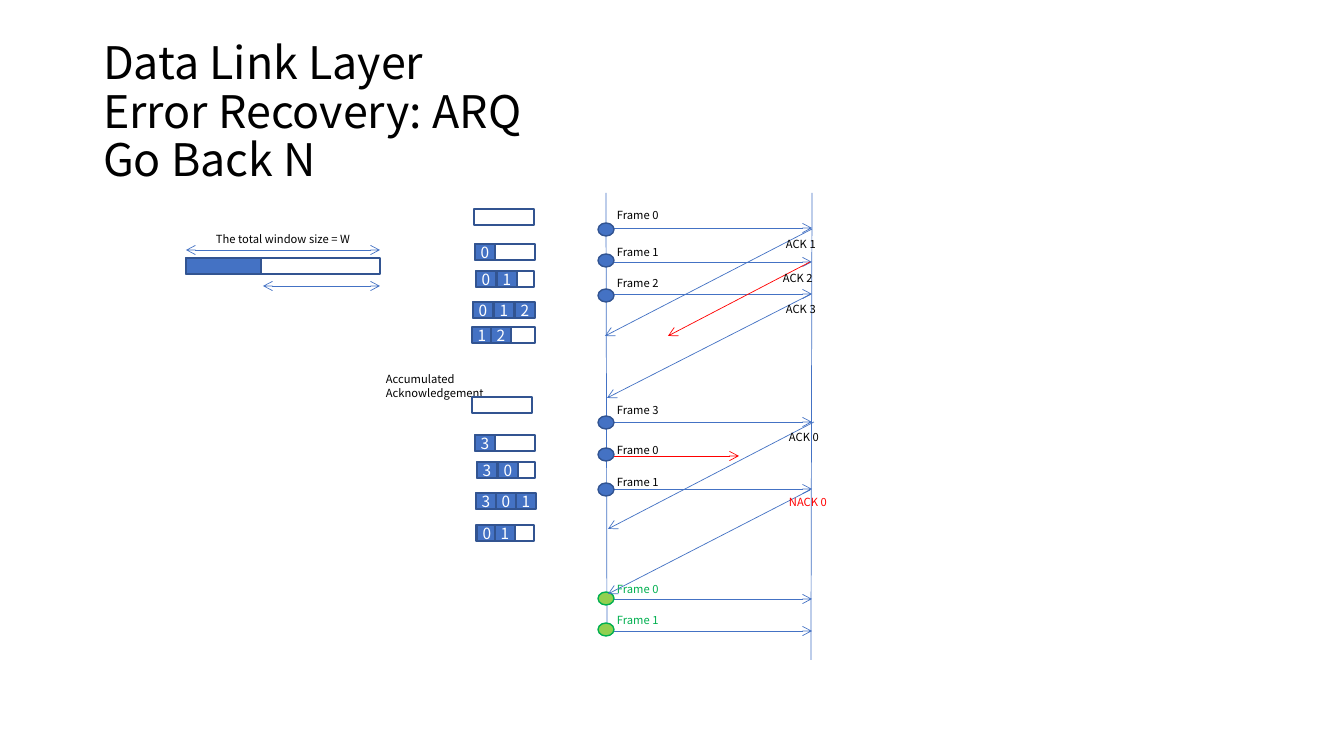
from lxml import etree
from pptx import Presentation
from pptx.dml.color import RGBColor
from pptx.enum.shapes import MSO_CONNECTOR, MSO_SHAPE
from pptx.enum.text import MSO_ANCHOR, PP_ALIGN
from pptx.oxml.ns import qn
from pptx.util import Pt

FONT = "Noto Sans CJK KR"
BLUE, NAVY, RED = "4472C4", "325491", "FF0000"
GREEN, LIME, BLACK, WHITE = "00B050", "92D050", "000000", "FFFFFF"
SENDER, RECEIVER = 607, 812
DOT_W, DOT_H = 16, 13
CELL_W, CELL_H = 20, 16

TITLE = "Data Link Layer\vError Recovery: ARQ\vGo Back N"
# left, top, width, text
NOTES = [
    (206, 227, 160, "The total window size = W"),
    (376, 367, 185, "Accumulated\vAcknowledgement"),
]
# label, label top, arrow y, arrow end, dot top, is resent
FRAMES = [
    ("Frame 0", 203, 228, RECEIVER, 223, False),
    ("Frame 1", 240, 262, RECEIVER, 254, False),
    ("Frame 2", 271, 294, RECEIVER, 289, False),
    ("Frame 3", 398, 422, RECEIVER, 416, False),
    ("Frame 0", 438, 456, 739, 448, False),
    ("Frame 1", 470, 489, RECEIVER, 483, False),
    ("Frame 0", 577, 599, RECEIVER, 592, True),
    ("Frame 1", 608, 631, RECEIVER, 623, True),
]
# label, label left and top, arrow start, arrow end, arrow colour, label colour
REPLIES = [
    ("ACK 1", (776, 232), (812, 229), (605, 336), BLUE, BLACK),
    ("ACK 2", (773, 266), (810, 262), (668, 336), RED, BLACK),
    ("ACK 3", (776, 297), (811, 294), (607, 398), BLUE, BLACK),
    ("ACK 0", (779, 425), (814, 422), (608, 529), BLUE, BLACK),
    ("NACK 0", (779, 490), (810, 490), (608, 594), BLUE, RED),
]
# left, top, width, outstanding frames, left of first cell, cell step
WINDOWS = [
    (474, 209, 60, "", 474, 21),
    (475, 244, 60, "0", 475, 21),
    (476, 271, 58, "01", 476, 21),
    (473, 302, 58, "012", 473, 21),
    (475, 327, 60, "12", 472, 19),
    (472, 397, 60, "", 472, 21),
    (475, 435, 60, "3", 475, 21),
    (477, 462, 58, "30", 477, 21),
    (476, 493, 58, "301", 476, 20),
    (476, 525, 58, "01", 477, 18),
]


def px(length):
    return round(length * 914400 / 100.8)


def rgb(colour):
    return RGBColor.from_string(colour)


def style(paragraph, size, colour):
    paragraph.font.name = FONT
    paragraph.font.size = Pt(size)
    paragraph.font.color.rgb = rgb(colour)


def arrow(start, end, colour=BLUE, heads=("tailEnd",)):
    line = slide.shapes.add_connector(
        MSO_CONNECTOR.STRAIGHT, *map(px, (*start, *end)))
    line.line.color.rgb = rgb(colour)
    line.line.width = Pt(0.5)
    for head in heads:
        etree.SubElement(line.line._get_or_add_ln(), qn("a:" + head), type="arrow")
    etree.SubElement(line._element.spPr, qn("a:effectLst"))


def label(left, top, width, text, colour=BLACK):
    box = slide.shapes.add_textbox(px(left), px(top), px(width), px(24))
    frame = box.text_frame
    frame.word_wrap = True
    frame.margin_right = 0
    frame.text = text
    frame.paragraphs[0].line_spacing = Pt(10)
    style(frame.paragraphs[0], 8, colour)


def block(kind, left, top, width, height, fill=None, edge=NAVY, text=""):
    shape = slide.shapes.add_shape(kind, *map(px, (left, top, width, height)))
    shape.shadow.inherit = False
    if fill:
        shape.fill.solid()
        shape.fill.fore_color.rgb = rgb(fill)
    else:
        shape.fill.background()
    shape.line.color.rgb = rgb(edge)
    shape.line.width = Pt(1)
    if text:
        frame = shape.text_frame
        frame.margin_left = frame.margin_right = 0
        frame.vertical_anchor = MSO_ANCHOR.MIDDLE
        frame.text = text
        frame.paragraphs[0].alignment = PP_ALIGN.CENTER
        style(frame.paragraphs[0], 11, WHITE)


deck = Presentation()
deck.slide_width, deck.slide_height = px(1344), px(756)
slide = deck.slides.add_slide(deck.slide_layouts[5])

# Title
title = slide.shapes.title
title.left, title.top, title.width, title.height = map(px, (93, 40, 1159, 146))
title.text_frame.text = TITLE
title.text_frame.vertical_anchor = MSO_ANCHOR.MIDDLE
heading = title.text_frame.paragraphs[0]
heading.alignment = PP_ALIGN.LEFT
heading.line_spacing = Pt(34.6)
style(heading, 32, BLACK)

# Time axes of sender and receiver
arrow((606, 193), (SENDER, 631), heads=())
arrow((RECEIVER, 193), (811, 660), heads=())

# Window size legend
arrow((186, 250), (380, 250), heads=("headEnd", "tailEnd"))
arrow((263, 286), (380, 286), heads=("headEnd", "tailEnd"))
block(MSO_SHAPE.RECTANGLE, 186, 258, 194, CELL_H)
block(MSO_SHAPE.RECTANGLE, 186, 258, 75, CELL_H, BLUE)
for note in NOTES:
    label(*note)

# Frames sent
for name, name_top, y, end, dot_top, resent in FRAMES:
    arrow((SENDER, y), (end, y), BLUE if end == RECEIVER else RED)
    label(SENDER, name_top, 63, name, GREEN if resent else BLACK)
    fill, edge = (LIME, GREEN) if resent else (BLUE, NAVY)
    block(MSO_SHAPE.OVAL, SENDER - 1 - DOT_W / 2, dot_top, DOT_W, DOT_H, fill, edge)

# Replies received
for name, corner, start, end, colour, name_colour in REPLIES:
    arrow(start, end, colour)
    label(*corner, 60, name, name_colour)

# Sender window at each step
for left, top, width, numbers, first, step in WINDOWS:
    block(MSO_SHAPE.RECTANGLE, left, top, width, CELL_H)
    for i, number in enumerate(numbers):
        block(MSO_SHAPE.RECTANGLE, first + i * step, top, CELL_W, CELL_H, BLUE, text=number)

deck.save("out.pptx")
